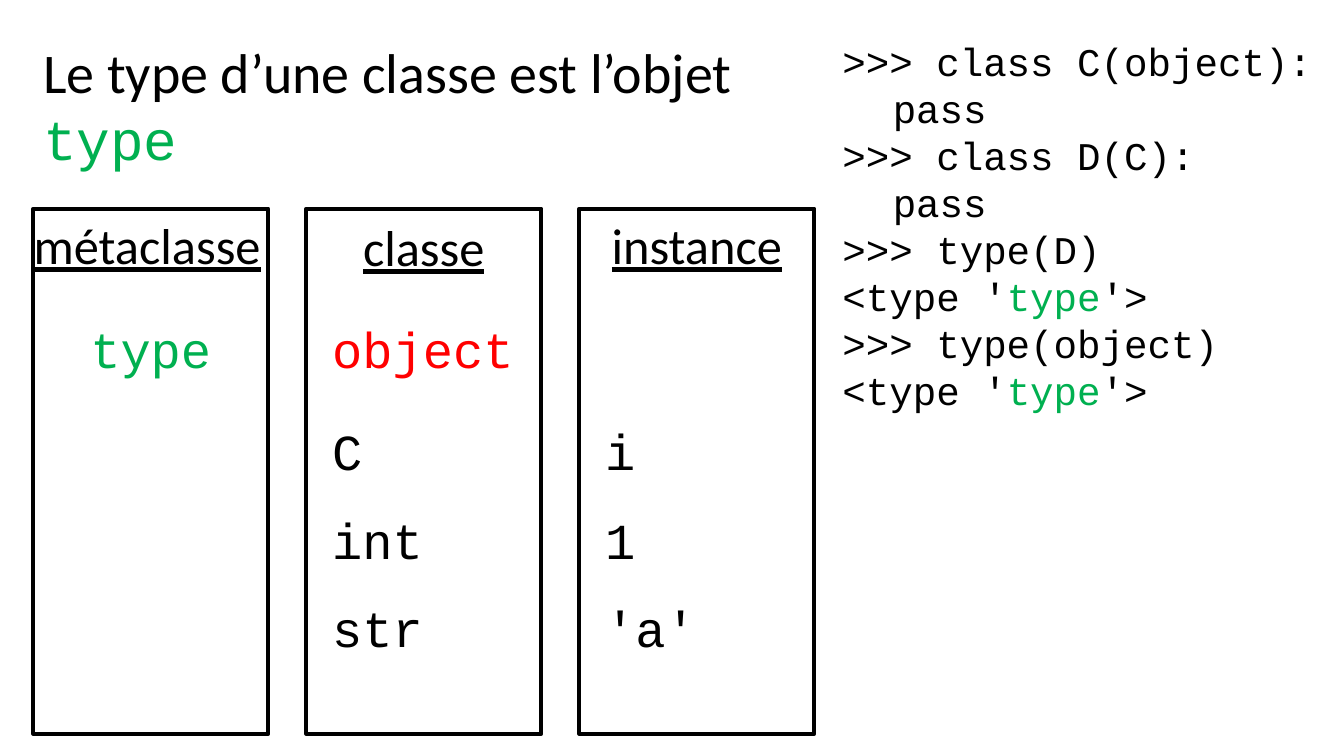
from dataclasses import dataclass

from pptx import Presentation
from pptx.dml.color import RGBColor
from pptx.enum.shapes import MSO_SHAPE
from pptx.enum.text import MSO_AUTO_SIZE, PP_ALIGN
from pptx.slide import Slide
from pptx.util import Cm, Pt


@dataclass(frozen=True)
class Theme:
    black: RGBColor = RGBColor(0x00, 0x00, 0x00)
    green: RGBColor = RGBColor(0x00, 0xB0, 0x50)
    red: RGBColor = RGBColor(0xFF, 0x00, 0x00)
    prose: str = "Calibri"
    mono: str = "Courier New"
    title: int = 40
    label: int = 36
    code: int = 28
    border: int = 3


THEME = Theme()


@dataclass(frozen=True)
class Span:
    text: str
    color: RGBColor = THEME.black
    font: str = THEME.mono
    underline: bool = False


@dataclass(frozen=True)
class Box:
    left: float
    top: float
    width: float
    height: float


@dataclass(frozen=True)
class Column:
    heading: str
    cells: dict[int, Span]
    heading_align: PP_ALIGN = PP_ALIGN.CENTER
    cell_align: PP_ALIGN = PP_ALIGN.LEFT
    heading_shift: float = 0


TYPE = Span("type", THEME.green)
COLUMN_LEFT, COLUMN_PITCH = 0.84, 6.88
COLUMN_TOP, COLUMN_WIDTH, COLUMN_HEIGHT = 5.26, 5.92, 13.23
ROW_TOPS = (7.9, 10.46, 12.7, 14.91)
HEADING_OVERHANG, CELL_INSET, LABEL_HEIGHT = 0.24, 0.4, 1.8

COLUMNS = [
    Column("métaclasse", {0: TYPE}, PP_ALIGN.LEFT, PP_ALIGN.CENTER),
    Column("classe", {0: Span("object", THEME.red), 1: Span("C"), 2: Span("int"), 3: Span("str")},
           heading_shift=0.05),
    Column("instance", {1: Span("i"), 2: Span("1"), 3: Span("'a'")}),
]

TYPE_RESULT = [Span("<type '"), TYPE, Span("'>")]
SESSION = [
    [Span(">>> class C(object):")],
    [Span("\tpass")],
    [Span(">>> class D(C):")],
    [Span("\tpass")],
    [Span(">>> type(D)")],
    TYPE_RESULT,
    [Span(">>> type(object)")],
    TYPE_RESULT,
]


def add_text(slide: Slide, box: Box, lines: list[list[Span]], size: int,
             align: PP_ALIGN = PP_ALIGN.LEFT) -> None:
    """Add a text box with one paragraph per line of spans."""
    sp = slide.shapes.add_textbox(Cm(box.left), Cm(box.top), Cm(box.width), Cm(box.height))
    tf = sp.text_frame
    tf.word_wrap = True
    tf.auto_size = MSO_AUTO_SIZE.SHAPE_TO_FIT_TEXT
    for i, spans in enumerate(lines):
        p = tf.add_paragraph() if i else tf.paragraphs[0]
        p.alignment = align
        for span in spans:
            r = p.add_run()
            r.text = span.text
            r.font.size = Pt(size)
            r.font.name = span.font
            r.font.color.rgb = span.color
            if span.underline:
                r.font.underline = True


def add_frame(slide: Slide, left: float) -> None:
    sp = slide.shapes.add_shape(MSO_SHAPE.RECTANGLE, Cm(left), Cm(COLUMN_TOP),
                                Cm(COLUMN_WIDTH), Cm(COLUMN_HEIGHT))
    sp.shadow.inherit = False
    sp.fill.background()
    sp.line.color.rgb = THEME.black
    sp.line.width = Pt(THEME.border)


def add_column(slide: Slide, column: Column, left: float) -> None:
    add_frame(slide, left)
    heading = Span(column.heading, font=THEME.prose, underline=True)
    add_text(slide, Box(left - HEADING_OVERHANG, COLUMN_TOP + column.heading_shift,
                        COLUMN_WIDTH + 2 * HEADING_OVERHANG, LABEL_HEIGHT),
             [[heading]], THEME.label, column.heading_align)
    for row, cell in column.cells.items():
        add_text(slide, Box(left + CELL_INSET, ROW_TOPS[row],
                            COLUMN_WIDTH - 2 * CELL_INSET, LABEL_HEIGHT),
                 [[cell]], THEME.label, column.cell_align)


def main() -> None:
    prs = Presentation()
    prs.slide_width, prs.slide_height = Cm(33.87), Cm(19.05)
    slide = prs.slides.add_slide(prs.slide_layouts[6])
    title = [Span("Le type d’une classe est l’objet ", font=THEME.prose), TYPE]
    add_text(slide, Box(0.84, 0.81, 19.69, 3.68), [title], THEME.title)
    for i, column in enumerate(COLUMNS):
        add_column(slide, column, COLUMN_LEFT + i * COLUMN_PITCH)
    add_text(slide, Box(20.98, 0.81, 13.34, 9.83), SESSION, THEME.code)
    prs.save("out.pptx")


if __name__ == "__main__":
    main()
